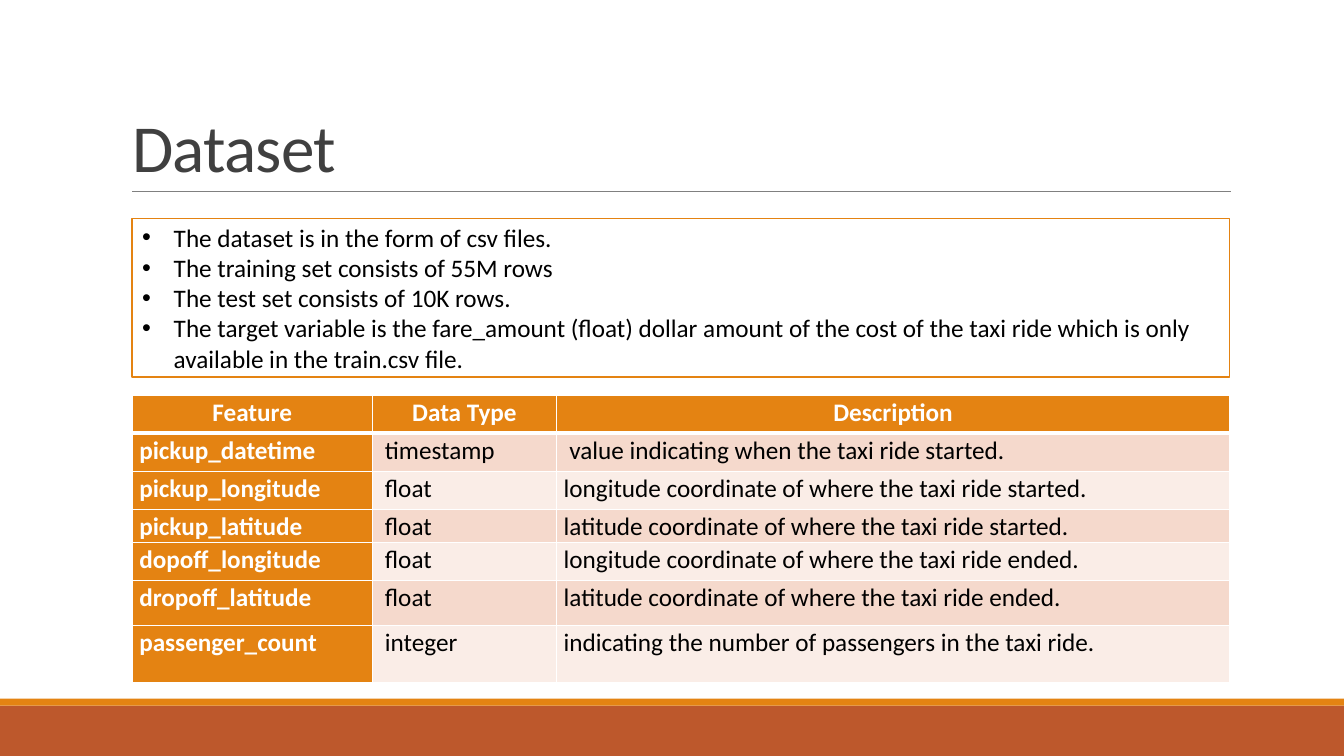
import lxml.etree
import pptx
import pptx.chart.data
import pptx.dml.color
import pptx.enum.shapes
import pptx.enum.text
import pptx.oxml.ns
import pptx.util

Pt = pptx.util.Pt
qn = pptx.oxml.ns.qn
SubElement = lxml.etree.SubElement
ANCHOR = pptx.enum.text.MSO_ANCHOR
ALIGN = pptx.enum.text.PP_ALIGN
SHAPE = pptx.enum.shapes.MSO_SHAPE

TITLE = "Dataset"
FACTS = [
    "The dataset is in the form of csv files.",
    "The training set consists of 55M rows",
    "The test set consists of 10K rows.",
    "The target variable is the fare_amount (float) dollar amount of the cost of "
    "the taxi ride which is only available in the train.csv file.",
]
FEATURES = [
    ("Feature", "Data Type", "Description"),
    ("pickup_datetime ", " timestamp", " value indicating when the taxi ride started."),
    ("pickup_longitude", " float", "longitude coordinate of where the taxi ride started."),
    ("pickup_latitude", " float", "latitude coordinate of where the taxi ride started."),
    ("dopoff_longitude", " float", "longitude coordinate of where the taxi ride ended."),
    ("dropoff_latitude", " float", "latitude coordinate of where the taxi ride ended."),
    ("passenger_count", " integer", "indicating the number of passengers in the taxi ride."),
]
COLUMN_WIDTHS = [171.4, 131.8, 480.5]
ROW_HEIGHTS = [27.3, 27.3, 27.3, 13.7, 27.3, 32.4, 41]

THEME = {
    "font": "Calibri", "title_size": 48, "body_size": 18,
    "title": "404040", "text": "000000", "white": "FFFFFF", "rule": "808080",
    "accent": "E48312", "footer": "BD582C", "bands": ["FAEDE7", "F5D9CC"],
}
WIDTH, HEIGHT = 960, 540
LEFT, CONTENT_WIDTH = 94.5, sum(COLUMN_WIDTHS)
FOOTER_TOP, STRIPE_HEIGHT = 504, 5


def color(name):
    return pptx.dml.color.RGBColor.from_string(THEME.get(name, name))


def set_font(p, size, name, bold=False):
    p.font.name = THEME["font"]
    p.font.size = Pt(THEME[size])
    p.font.color.rgb = color(name)
    p.font.bold = bold


def add_rect(s, left, top, width, height, fill, line=None):
    sp = s.shapes.add_shape(SHAPE.RECTANGLE, Pt(left), Pt(top), Pt(width), Pt(height))
    sp.shadow.inherit = False
    sp.fill.solid()
    sp.fill.fore_color.rgb = color(fill)
    if line:
        sp.line.color.rgb = color(line)
        sp.line.width = Pt(1.25)
    else:
        sp.line.fill.background()
    return sp


def add_title(s):
    sp = s.shapes.add_textbox(Pt(87.3), Pt(22.5), Pt(792), Pt(114.3))
    tf = sp.text_frame
    tf.word_wrap = True
    tf.vertical_anchor = ANCHOR.BOTTOM
    p = tf.paragraphs[0]
    r = p.add_run()
    r.text = TITLE
    p.line_spacing = 0.85
    set_font(p, "title_size", "title")
    r.font._element.set("spc", "-50")

    rule = s.shapes.add_connector(pptx.enum.shapes.MSO_CONNECTOR.STRAIGHT,
                                  Pt(LEFT), Pt(136.8), Pt(879), Pt(136.8))
    rule.line.color.rgb = color("rule")
    rule.line.width = Pt(0.5)
    SubElement(rule._element.spPr, qn("a:effectLst"))


def add_facts(s):
    tf = add_rect(s, LEFT, 156, CONTENT_WIDTH, 113.2, "white", "accent").text_frame
    tf.word_wrap = True
    tf.vertical_anchor = ANCHOR.MIDDLE
    for i, fact in enumerate(FACTS):
        p = tf.paragraphs[0] if i == 0 else tf.add_paragraph()
        p.text = fact
        p.alignment = ALIGN.LEFT
        set_font(p, "body_size", "text")
        pPr = p._p.get_or_add_pPr()
        pPr.set("marL", str(Pt(22.5)))
        pPr.set("indent", str(Pt(-22.5)))
        bullet_font = pptx.oxml.parse_xml(
            '<a:buFont xmlns:a="http://schemas.openxmlformats.org/drawingml/2006/main"'
            ' typeface="Arial"/>')
        pPr.insert_element_before(bullet_font, "a:tabLst", "a:defRPr", "a:extLst")
        bullet = lxml.etree.Element(qn("a:buChar"), char="•")
        bullet_font.addnext(bullet)


def add_borders(cell, bottom):
    """Draw white cell borders; call before the fill, which must follow them."""
    tcPr = cell._tc.get_or_add_tcPr()
    for side, width in (("L", 1), ("R", 1), ("T", 1), ("B", bottom)):
        ln = SubElement(tcPr, qn(f"a:ln{side}"), w=str(Pt(width)))
        SubElement(SubElement(ln, qn("a:solidFill")), qn("a:srgbClr"), val=THEME["white"])


def add_features(s):
    table = s.shapes.add_table(len(FEATURES), len(COLUMN_WIDTHS), Pt(LEFT), Pt(282.2),
                               Pt(CONTENT_WIDTH), Pt(sum(ROW_HEIGHTS))).table
    for column, width in zip(table.columns, COLUMN_WIDTHS):
        column.width = Pt(width)
    for i, (row, height) in enumerate(zip(FEATURES, ROW_HEIGHTS)):
        table.rows[i].height = Pt(height)
        for j, text in enumerate(row):
            heading = i == 0 or j == 0
            cell = table.cell(i, j)
            cell.margin_left = cell.margin_right = Pt(5)
            cell.margin_top = cell.margin_bottom = 0
            add_borders(cell, 3 if i == 0 else 1)
            cell.fill.solid()
            cell.fill.fore_color.rgb = color("accent" if heading else THEME["bands"][i % 2])
            p = cell.text_frame.paragraphs[0]
            p.text = text
            p.alignment = ALIGN.CENTER if i == 0 else ALIGN.LEFT
            p.line_spacing = 1.07
            set_font(p, "body_size", "white" if heading else "text", heading)


def main():
    prs = pptx.Presentation()
    prs.slide_width, prs.slide_height = Pt(WIDTH), Pt(HEIGHT)
    s = prs.slides.add_slide(prs.slide_layouts[6])
    add_rect(s, 0, FOOTER_TOP, WIDTH, HEIGHT - FOOTER_TOP, "footer")
    add_rect(s, 0, FOOTER_TOP - STRIPE_HEIGHT, WIDTH, STRIPE_HEIGHT, "accent")
    add_title(s)
    add_facts(s)
    add_features(s)
    prs.save("out.pptx")


if __name__ == "__main__":
    main()
